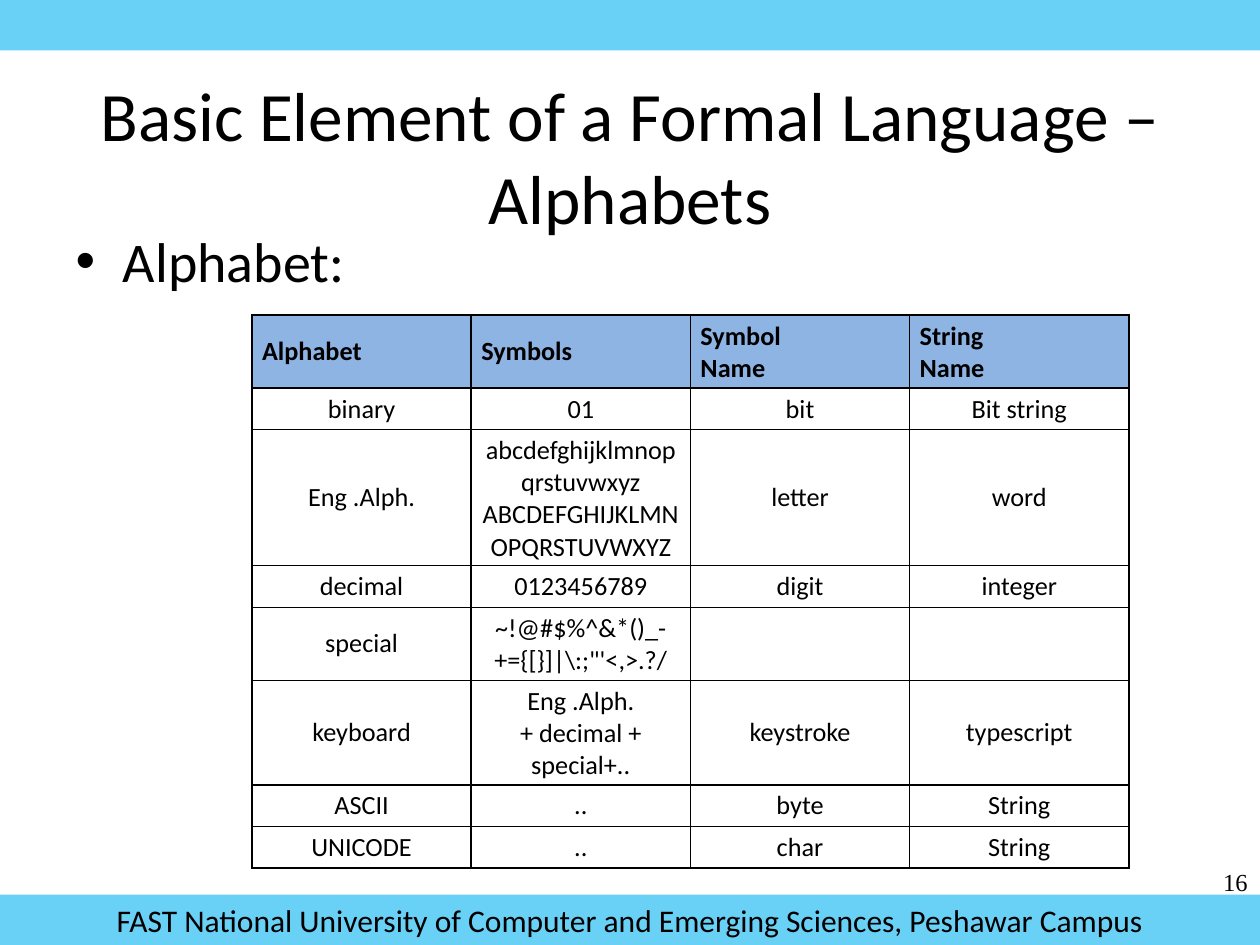
from lxml import etree
from pptx import Presentation
from pptx.dml.color import RGBColor
from pptx.enum.shapes import MSO_SHAPE
from pptx.enum.text import MSO_ANCHOR, MSO_AUTO_SIZE, PP_ALIGN
from pptx.oxml import parse_xml
from pptx.oxml.ns import nsdecls, qn
from pptx.util import Inches, Pt

BLACK = RGBColor(0x00, 0x00, 0x00)
SKY = RGBColor(0x00, 0xB0, 0xF0)
HEAD = RGBColor(0x8E, 0xB4, 0xE3)

ROWS = [
    ["Alphabet", "Symbols", "Symbol\vName", "String\vName"],
    ["binary", "01", "bit", "Bit string"],
    ["Eng .Alph.", "abcdefghijklmnopqrstuvwxyz\vABCDEFGHIJKLMNOPQRSTUVWXYZ",
     "letter", "word"],
    ["decimal", "0123456789", "digit", "integer"],
    ["special", "~!@#$%^&*()_-+={[}]|\\:;\"'<,>.?/", "", ""],
    ["keyboard", "Eng .Alph.\n+ decimal + special+..", "keystroke", "typescript"],
    ["ASCII", "..", "byte", "String"],
    ["UNICODE", "..", "char", "String"],
]
HEIGHTS = [0.58, 0.33, 1.08, 0.33, 0.58, 0.83, 0.33, 0.33]


def write(frame, text, size, font="Calibri", bold=False,
          align=PP_ALIGN.LEFT, anchor=MSO_ANCHOR.TOP):
    """Fill a text frame; a line feed starts a paragraph, \\v a line break."""
    frame.text = text
    frame.word_wrap = True
    frame.vertical_anchor = anchor
    for para in frame.paragraphs:
        para.alignment = align
        for run in para.runs:
            run.font.name = font
            run.font.size = Pt(size)
            run.font.bold = bold
            run.font.color.rgb = BLACK


def place(shape, box):
    shape.left, shape.top, shape.width, shape.height = map(Inches, box)


def add_title(slide, box, text):
    title = slide.shapes.title
    place(title, box)
    title.text_frame.auto_size = MSO_AUTO_SIZE.NONE
    write(title.text_frame, text, 39.6, align=PP_ALIGN.CENTER,
          anchor=MSO_ANCHOR.MIDDLE)


def add_body(slide, box, text):
    body = slide.placeholders[1]
    place(body, box)
    write(body.text_frame, text, 32)
    body.text_frame.paragraphs[0].space_before = Pt(0)


def add_bar(slide, box, text=""):
    bar = slide.shapes.add_shape(MSO_SHAPE.RECTANGLE, *map(Inches, box))
    bar.shadow.inherit = False
    bar.line.fill.background()
    bar.fill.solid()
    bar.fill.fore_color.rgb = SKY
    color = bar.fill._xPr.find(qn("a:solidFill"))[0]
    etree.SubElement(color, qn("a:alpha"), val="59000")
    if text:
        write(bar.text_frame, text, 18, align=PP_ALIGN.CENTER,
              anchor=MSO_ANCHOR.MIDDLE)


def add_number(slide, box, text):
    note = slide.shapes.add_textbox(*map(Inches, box))
    write(note.text_frame, text, 14, font="Times New Roman",
          align=PP_ALIGN.RIGHT)


def add_borders(cell):
    props = cell._tc.get_or_add_tcPr()
    for pos, side in enumerate(("lnL", "lnR", "lnT", "lnB")):
        props.insert(pos, parse_xml(
            f'<a:{side} {nsdecls("a")} w="12700"><a:solidFill>'
            f'<a:srgbClr val="{BLACK}"/></a:solidFill></a:{side}>'))


def add_grid(slide, box, rows, heights):
    grid = slide.shapes.add_table(
        len(rows), len(rows[0]), *map(Inches, box)).table
    grid.horz_banding = False
    for col in grid.columns:
        col.width = Inches(box[2] / len(rows[0]))
    for i, (texts, height) in enumerate(zip(rows, heights)):
        grid.rows[i].height = Inches(height)
        top = i == 0
        for j, text in enumerate(texts):
            cell = grid.cell(i, j)
            cell.margin_left = cell.margin_right = Inches(0.08)
            cell.margin_top = cell.margin_bottom = Inches(0.04)
            if top:
                cell.fill.solid()
                cell.fill.fore_color.rgb = HEAD
            else:
                cell.fill.background()
            write(cell.text_frame, text, 15, bold=top,
                  align=PP_ALIGN.LEFT if top else PP_ALIGN.CENTER)
            cell.vertical_anchor = MSO_ANCHOR.MIDDLE
            add_borders(cell)


def main():
    deck = Presentation()
    deck.slide_width, deck.slide_height = Inches(10), Inches(7.5)
    slide = deck.slides.add_slide(deck.slide_layouts[1])

    # Heading and list
    add_title(slide, (0.5, 0.61, 9, 1.25),
              "Basic Element of a Formal Language – Alphabets")
    add_body(slide, (0.5, 1.75, 9, 4.95), "Alphabet:")

    # Bars at top and foot, page number
    add_bar(slide, (0, 0, 10, 0.4))
    add_bar(slide, (0, 7.1, 10, 0.4),
            "FAST National University of Computer and Emerging Sciences, "
            "Peshawar Campus")
    add_number(slide, (9.58, 6.83, 0.42, 0.33), "16")

    # Table of alphabets
    add_grid(slide, (2, 2.5, 6.96, 4.4), ROWS, HEIGHTS)

    deck.save("out.pptx")


if __name__ == "__main__":
    main()
